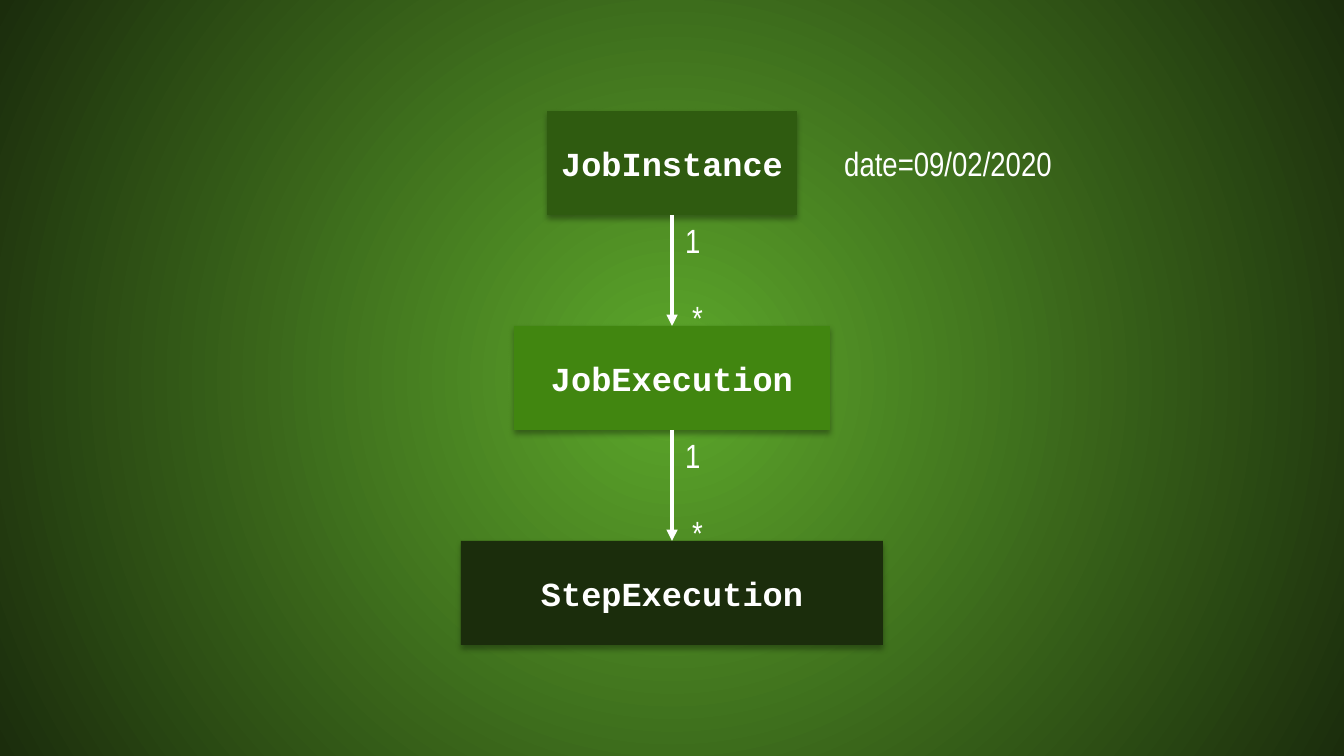
from typing import NamedTuple

from pptx import Presentation
from pptx.dml.color import RGBColor
from pptx.enum.shapes import MSO_CONNECTOR, MSO_SHAPE
from pptx.enum.text import MSO_ANCHOR, MSO_AUTO_SIZE, PP_ALIGN
from pptx.oxml import parse_xml
from pptx.oxml.ns import nsdecls, qn
from pptx.util import Emu, Pt

WHITE = RGBColor(0xFF, 0xFF, 0xFF)
MOSS = RGBColor(0x2F, 0x5B, 0x10)
LEAF = RGBColor(0x41, 0x86, 0x10)
FOREST = RGBColor(0x1B, 0x2D, 0x0C)
GLOW = RGBColor(0x5D, 0xA8, 0x2B)

WIDTH, HEIGHT = 1344, 756
CENTER = WIDTH // 2
FIRST_TOP, BOX_HEIGHT, STEP = 111, 104, 215


class Entity(NamedTuple):
    name: str
    width: int
    color: RGBColor


class Label(NamedTuple):
    text: str
    left: int
    top: int
    width: int


ENTITIES = [
    Entity("JobInstance", 250, MOSS),
    Entity("JobExecution", 316, LEAF),
    Entity("StepExecution", 422, FOREST),
]
CARDINALITIES = [Label("1", CENTER, 213, 43), Label("*", CENTER + 7, 290, 40)]
DATE = Label("date=09/02/2020", 831, 136, 259)


def px(n: int) -> Emu:
    """Convert slide pixels to EMU."""
    return Emu(round(n * 9144000 / WIDTH))


def set_background(s) -> None:
    """Fill the slide with a radial gradient."""
    s._element.cSld.insert(0, parse_xml(
        f'<p:bg {nsdecls("p", "a")}><p:bgPr><a:gradFill><a:gsLst>'
        f'<a:gs pos="0"><a:srgbClr val="{GLOW}"/></a:gs>'
        f'<a:gs pos="100000"><a:srgbClr val="{FOREST}"/></a:gs></a:gsLst>'
        '<a:path path="circle"><a:fillToRect l="50000" t="50000" r="50000" b="50000"/></a:path>'
        '</a:gradFill><a:effectLst/></p:bgPr></p:bg>'))


def format_run(p, font: str, bold: bool) -> None:
    """Apply the shared text style to the paragraph's run."""
    f = p.runs[0].font
    f.name, f.size, f.bold = font, Pt(18), bold
    f.color.rgb = WHITE


def add_entity(s, entity: Entity, top: int) -> None:
    """Draw a centred entity box with a soft drop shadow."""
    sp = s.shapes.add_shape(MSO_SHAPE.RECTANGLE, px(CENTER - entity.width // 2), px(top),
                            px(entity.width), px(BOX_HEIGHT))
    sp.fill.solid()
    sp.fill.fore_color.rgb = entity.color
    sp.line.fill.background()
    sp.shadow.inherit = False
    sp._element.spPr.find(qn("a:effectLst")).append(parse_xml(
        f'<a:outerShdw {nsdecls("a")} blurRad="40000" dist="23000" dir="5400000" rotWithShape="0">'
        '<a:srgbClr val="000000"><a:alpha val="35000"/></a:srgbClr></a:outerShdw>'))
    tf = sp.text_frame
    tf.text = entity.name
    tf.vertical_anchor = MSO_ANCHOR.MIDDLE
    p = tf.paragraphs[0]
    p.alignment = PP_ALIGN.CENTER
    format_run(p, "Courier New", True)


def add_arrow(s, top: int, bottom: int) -> None:
    """Draw a downward arrow on the centre line."""
    c = s.shapes.add_connector(MSO_CONNECTOR.STRAIGHT, px(CENTER), px(top), px(CENTER), px(bottom))
    c.line.color.rgb = WHITE
    c.line.width = Pt(2)
    c.line._get_or_add_ln().append(parse_xml(f'<a:tailEnd {nsdecls("a")} type="triangle"/>'))
    c._element.spPr.append(parse_xml(f'<a:effectLst {nsdecls("a")}/>'))


def add_label(s, label: Label, offset: int = 0) -> None:
    """Draw an unwrapped text label."""
    sp = s.shapes.add_textbox(px(label.left), px(label.top + offset), px(label.width), px(54))
    tf = sp.text_frame
    tf.text = label.text
    tf.word_wrap = False
    tf.auto_size = MSO_AUTO_SIZE.SHAPE_TO_FIT_TEXT
    format_run(tf.paragraphs[0], "Arial Narrow", False)


def main() -> None:
    """Build the job model slide."""
    prs = Presentation()
    prs.slide_width, prs.slide_height = px(WIDTH), px(HEIGHT)
    s = prs.slides.add_slide(prs.slide_layouts[6])
    set_background(s)
    for i, entity in enumerate(ENTITIES):
        add_entity(s, entity, FIRST_TOP + i * STEP)
    for i in range(len(ENTITIES) - 1):
        offset = i * STEP
        add_arrow(s, FIRST_TOP + BOX_HEIGHT + offset, FIRST_TOP + STEP + offset)
        for label in CARDINALITIES:
            add_label(s, label, offset)
    add_label(s, DATE)
    prs.save("out.pptx")


if __name__ == "__main__":
    main()
